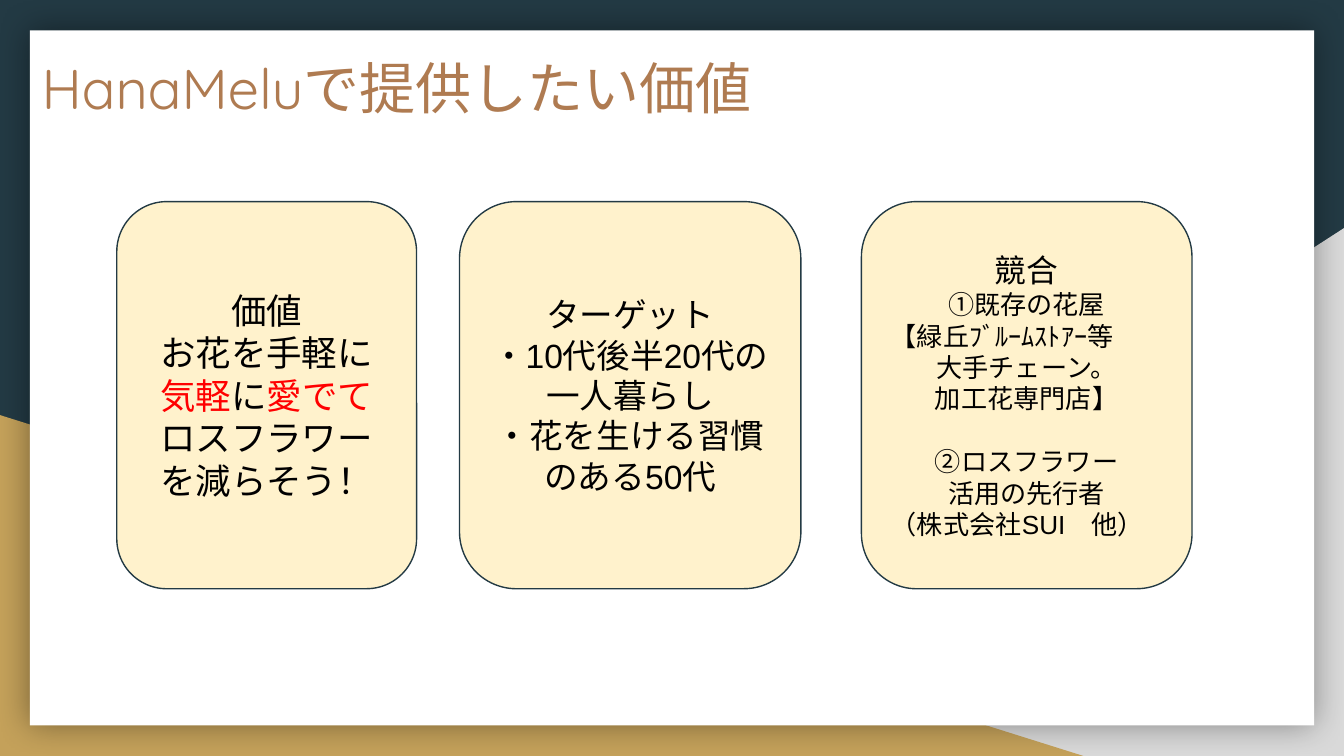
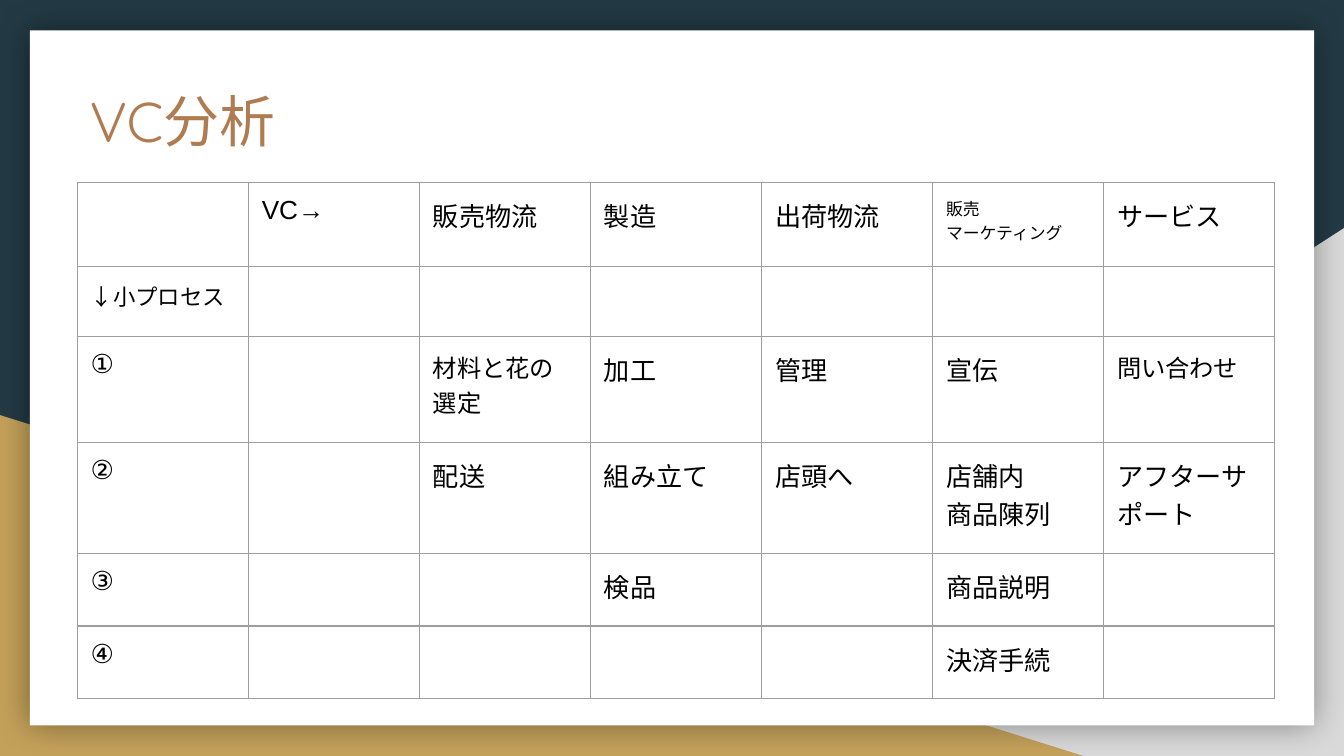
from lxml import etree
from pptx import Presentation
from pptx.dml.color import RGBColor
from pptx.enum import shapes, text
from pptx.oxml import parse_xml
from pptx.oxml import ns
from pptx.util import Pt

NAVY = RGBColor(0x23, 0x3A, 0x44)
GOLD = RGBColor(0xC4, 0xA1, 0x5A)
SILVER = RGBColor(0xD9, 0xD9, 0xD9)
WHITE = RGBColor(0xFF, 0xFF, 0xFF)
BROWN = RGBColor(0xAF, 0x7B, 0x51)
CREAM = RGBColor(0xFF, 0xF2, 0xCC)
BLACK = RGBColor(0, 0, 0)
RED = RGBColor(0xFF, 0, 0)
GRID = RGBColor(0x9E, 0x9E, 0x9E)

TITLE_FONT, BODY_FONT = "Quicksand", "Arial"
INSET = Pt(7.2)
LINE_WIDTH = Pt(0.75)
CARD_TOP, CARD_HEIGHT = 108, 207.4
LINE_RATIO = 1.2


class Deck:
    def __init__(self):
        self.prs = Presentation()
        self.prs.slide_width, self.prs.slide_height = Pt(720), Pt(405)
        self.layout = self.prs.slide_layouts[5]
        self.slide = None

    def new_slide(self, title, left, top, width):
        self.slide = self.prs.slides.add_slide(self.layout)
        heading = self.slide.shapes.title
        heading.left, heading.top = Pt(left), Pt(top)
        heading.width, heading.height = Pt(width), Pt(75)
        frame = heading.text_frame
        frame.text = title
        self.inset(frame)
        frame.auto_size = text.MSO_AUTO_SIZE.NONE
        frame.vertical_anchor = text.MSO_ANCHOR.TOP
        line = frame.paragraphs[0]
        line.alignment = text.PP_ALIGN.LEFT
        self.style(line, 30, BROWN, TITLE_FONT)

    def inset(self, target):
        target.margin_left = target.margin_right = INSET
        target.margin_top = target.margin_bottom = INSET

    def style(self, paragraph, size, color=BLACK, name=BODY_FONT):
        font = paragraph.font
        font.size, font.name = Pt(size), name
        font.color.rgb = color

    def shape(self, kind, left, top, width, height, fill, line=None):
        item = self.slide.shapes.add_shape(
            kind, Pt(left), Pt(top), Pt(width), Pt(height))
        item.shadow.inherit = False
        item.fill.solid()
        item.fill.fore_color.rgb = fill
        if line is None:
            item.line.fill.background()
        else:
            item.line.color.rgb = line
            item.line.width = LINE_WIDTH
        return item

    def backdrop(self):
        """Move the frame shared by all slides behind the master's placeholders."""
        master = self.prs.slide_master
        master.background.fill.solid()
        master.background.fill.fore_color.rgb = NAVY
        kinds = shapes.MSO_SHAPE
        right = self.shape(kinds.RIGHT_TRIANGLE, 282.2, 122.2, 437.8, 282.8, SILVER)
        right._element.spPr.find(ns.qn("a:xfrm")).set("flipH", "1")
        left = self.shape(kinds.RIGHT_TRIANGLE, 0, 222.4, 580.4, 182.6, GOLD)
        sheet = self.shape(kinds.RECTANGLE, 16, 16.3, 688, 372.4, WHITE)
        effects = sheet._element.spPr.find(ns.qn("a:effectLst"))
        shadow = etree.SubElement(effects, ns.qn("a:outerShdw"),
                                  blurRad=str(Pt(18)), dist="0", algn="ctr")
        tint = etree.SubElement(shadow, ns.qn("a:srgbClr"), val=str(BLACK))
        etree.SubElement(tint, ns.qn("a:alpha"), val="40000")
        for place, item in enumerate((right, left, sheet), 2):
            master.shapes._spTree.insert(place, item._element)

    def card(self, left, width, lines, size, head_size=None):
        """Lines are centred; words between asterisks are red."""
        box = self.shape(shapes.MSO_SHAPE.ROUNDED_RECTANGLE, left, CARD_TOP,
                         width, CARD_HEIGHT, CREAM, NAVY)
        frame = box.text_frame
        frame.word_wrap = True
        frame.vertical_anchor = text.MSO_ANCHOR.MIDDLE
        self.inset(frame)
        for i, line in enumerate(lines):
            paragraph = frame.add_paragraph() if i else frame.paragraphs[0]
            points = head_size if head_size and not i else size
            paragraph.alignment = text.PP_ALIGN.CENTER
            paragraph.line_spacing = Pt(points * LINE_RATIO)
            self.style(paragraph, points)
            for j, part in enumerate(line.split("*")):
                if part:
                    run = paragraph.add_run()
                    run.text = part
                    run.font.color.rgb = RED if j % 2 else BLACK
        return frame.paragraphs

    def borders(self, cell):
        props = cell._tc.get_or_add_tcPr()
        for place, side in enumerate("LRTB"):
            props.insert(place, parse_xml(
                f'<a:ln{side} {ns.nsdecls("a")} w="{LINE_WIDTH}"><a:solidFill>'
                f'<a:srgbClr val="{GRID}"/></a:solidFill></a:ln{side}>'))

    def table(self, left, top, col_width, heights, rows, sizes, size):
        """Sizes lists the texts that differ from the usual size."""
        count = len(rows[0])
        grid = self.slide.shapes.add_table(
            len(rows), count, Pt(left), Pt(top),
            Pt(col_width * count), Pt(sum(heights))).table
        grid.first_row = grid.horz_banding = False
        for column in grid.columns:
            column.width = Pt(col_width)
        for r, (height, words) in enumerate(zip(heights, rows)):
            grid.rows[r].height = Pt(height)
            for c, word in enumerate(words):
                cell = grid.cell(r, c)
                cell.text = word
                cell.fill.background()
                self.inset(cell)
                self.borders(cell)
                for paragraph in cell.text_frame.paragraphs:
                    self.style(paragraph, sizes.get(word, size))


def value_slide(deck):
    deck.new_slide("HanaMeluで提供したい価値", 15.1, 21.6, 404.6)
    deck.backdrop()
    deck.card(62.6, 160.6, ["価値", "お花を手軽に", "*気軽*に*愛でて*",
                            "ロスフラワー", "を減らそう！"], 19)
    deck.card(246.2, 182.9, ["ターゲット", "・10代後半20代の", "一人暮らし",
                             "・花を生ける習慣のある50代"], 18)
    rivals = deck.card(461.5, 177.1, [
        "競合", "①既存の花屋", "【緑丘ﾌﾞﾙｰﾑｽﾄｱｰ等", "大手チェーン。", "加工花専門店】",
        "②ロスフラワー", "活用の先行者", "（株式会社SUI　他）"], 14, 17)
    for i in (2, 7):
        rivals[i].alignment = text.PP_ALIGN.LEFT
    rivals[5].space_before = Pt(14 * LINE_RATIO)


def chain_slide(deck):
    deck.new_slide("VC分析", 41, 38.9, 591.1)
    marketing = "販売\nマーケティング"
    rows = [
        ["", "VC→", "販売物流", "製造", "出荷物流", marketing, "サービス"],
        ["↓小プロセス", "", "", "", "", "", ""],
        ["①", "", "材料と花の選定", "加工", "管理", "宣伝", "問い合わせ"],
        ["②", "", "配送", "組み立て", "店頭へ", "店舗内\n商品陳列", "アフターサポート"],
        ["③", "", "", "検品", "", "商品説明", ""],
        ["④", "", "", "", "", "決済手続", ""],
    ]
    sizes = {marketing: 9, "↓小プロセス": 12, "材料と花の選定": 13, "問い合わせ": 13}
    deck.table(41.4, 97.7, 91.65, [45, 37.5, 56.8, 59.7, 38.8, 38.8],
               rows, sizes, 14)


def main():
    deck = Deck()
    value_slide(deck)
    chain_slide(deck)
    deck.prs.save("out.pptx")


if __name__ == "__main__":
    main()
